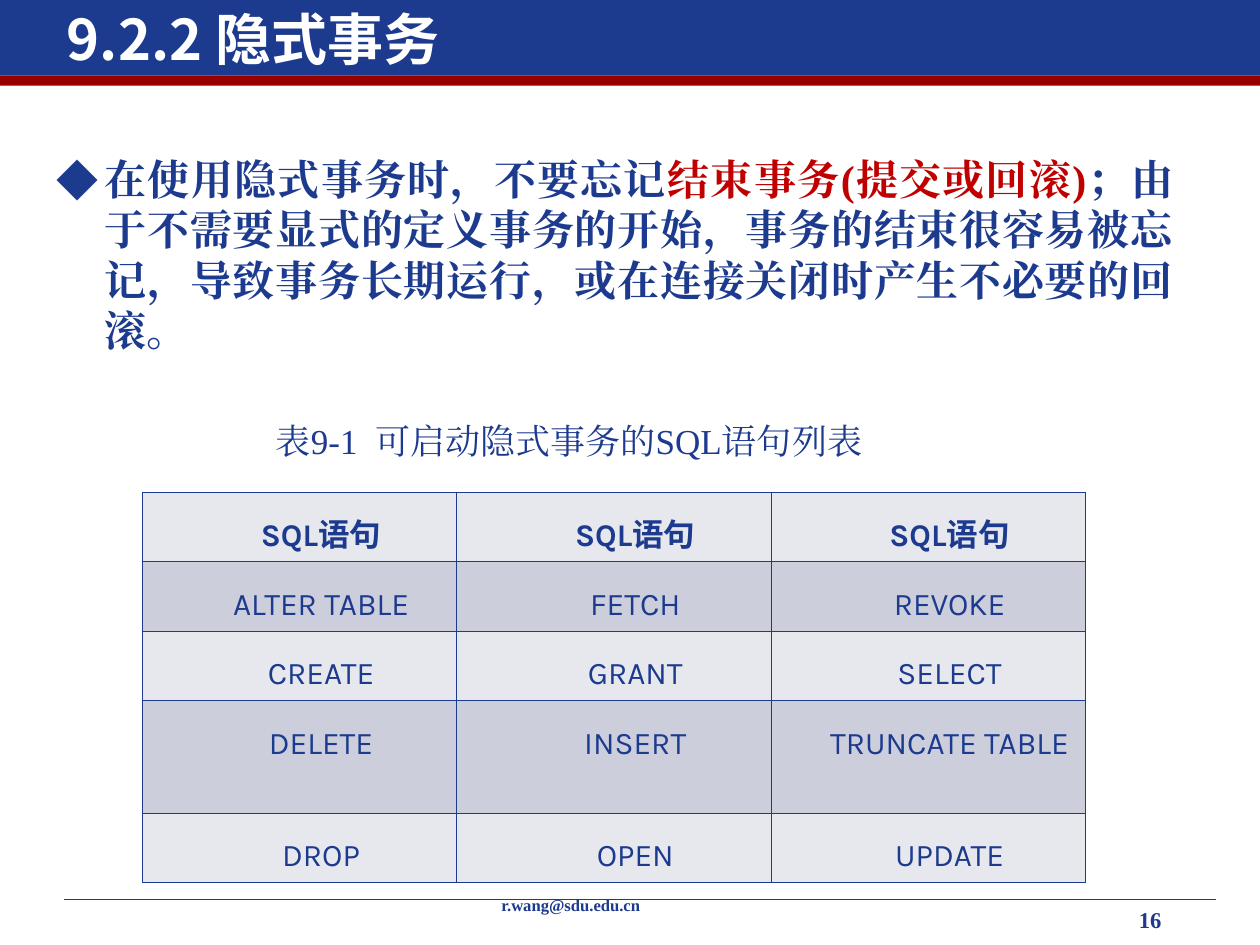
from lxml import etree
from pptx import Presentation
from pptx.dml.color import RGBColor
from pptx.enum import shapes, text
from pptx.oxml import ns
from pptx.util import Pt

NAVY = RGBColor(0x1C, 0x3A, 0x8E)
CRIMSON = RGBColor(0x99, 0x00, 0x00)
RED = RGBColor(0xC0, 0x00, 0x00)
WHITE = RGBColor(0xFF, 0xFF, 0xFF)
LIGHT = RGBColor(0xE7, 0xE8, 0xEE)
GREY = RGBColor(0xCC, 0xCE, 0xDB)
SERIF, SANS, CELL_FONT = "Times New Roman", "Noto Sans CJK SC", "Karla"


def add_run(paragraph, words, size, font, color=NAVY, bold=False):
    run = paragraph.add_run()
    run.text = words
    run.font.size = Pt(size)
    run.font.bold = bold
    run.font.name = font
    run.font.color.rgb = color
    east_asian = etree.SubElement(run.font._element, ns.qn("a:ea"))
    east_asian.set("typeface", font)


presentation = Presentation()
presentation.slide_width = Pt(720)
presentation.slide_height = Pt(540)
slide = presentation.slides.add_slide(presentation.slide_layouts[1])
title, body = slide.placeholders

# Header bars, placed behind the title
bars = [(-2.2, 45.4, NAVY), (43.2, 5.8, CRIMSON)]
for position, (top, height, color) in enumerate(bars):
    bar = slide.shapes.add_shape(shapes.MSO_SHAPE.RECTANGLE, 0, Pt(top), Pt(720), Pt(height))
    bar.shadow.inherit = False
    bar.fill.solid()
    bar.fill.fore_color.rgb = color
    bar.line.fill.background()
    slide.shapes._spTree.insert(2 + position, bar._element)

# Footer rule
rule = slide.shapes.add_connector(
    shapes.MSO_CONNECTOR.STRAIGHT, Pt(36.7), Pt(514), Pt(694.8), Pt(514))
rule.line.color.rgb = NAVY
rule.line.width = Pt(0.75)
etree.SubElement(rule._element.spPr, ns.qn("a:effectLst"))

# Title
title.left, title.top, title.width, title.height = Pt(31), Pt(-2.2), Pt(561.6), Pt(48.2)
title.text_frame.vertical_anchor = text.MSO_ANCHOR.MIDDLE
title.text_frame.auto_size = text.MSO_AUTO_SIZE.NONE
paragraph = title.text_frame.paragraphs[0]
paragraph.alignment = text.PP_ALIGN.LEFT
add_run(paragraph, "9.2.2 隐式事务", 32, SANS, WHITE, True)

# Body list
body.left, body.top, body.width, body.height = Pt(25.2), Pt(84), Pt(652.3), Pt(122.4)
body.text_frame.auto_size = text.MSO_AUTO_SIZE.NONE
paragraph = body.text_frame.paragraphs[0]
paragraph.alignment = text.PP_ALIGN.JUSTIFY
paragraph.space_before = Pt(0)
paragraph.line_spacing = Pt(28.8)
properties = paragraph._p.get_or_add_pPr()
properties.set("marL", str(Pt(27.4)))
properties.set("indent", str(Pt(-27.4)))
bullet_color = etree.SubElement(properties, ns.qn("a:buClr"))
etree.SubElement(bullet_color, ns.qn("a:srgbClr")).set("val", str(NAVY))
etree.SubElement(properties, ns.qn("a:buFont")).set("typeface", SANS)
etree.SubElement(properties, ns.qn("a:buChar")).set("char", "◆")
for words, color in [
    ("在使用隐式事务时，不要忘记", NAVY),
    ("结束事务(提交或回滚)", RED),
    ("；由于不需要显式的定义事务的开始，事务的结束很容易被忘记，"
     "导致事务长期运行，或在连接关闭时产生不必要的回滚。", NAVY),
]:
    add_run(paragraph, words, 24, SERIF, color, True)

# Page number, contact and table caption
for left, top, width, height, words, size, bold, spacing in [
    (643.7, 516.2, 76.3, 23.8, "16", 12.9, True, 0.9),
    (279.4, 509.8, 228.2, 19.4, "r.wang@sdu.edu.cn", 9.5, True, 0.8),
    (150.5, 236.2, 380.2, 31.7, "表9-1  可启动隐式事务的SQL语句列表", 20, False, 1.0),
]:
    box = slide.shapes.add_textbox(Pt(left), Pt(top), Pt(width), Pt(height))
    box.text_frame.word_wrap = True
    paragraph = box.text_frame.paragraphs[0]
    paragraph.line_spacing = spacing
    add_run(paragraph, words, size, SERIF, bold=bold)

# Table of statements
statements = [
    ["SQL语句"] * 3,
    ["ALTER TABLE", "FETCH", "REVOKE"],
    ["CREATE", "GRANT", "SELECT"],
    ["DELETE", "INSERT", "TRUNCATE TABLE"],
    ["DROP", "OPEN", "UPDATE"],
]
row_heights = [32.2, 32.2, 32.2, 64.4, 32.2]
table = slide.shapes.add_table(
    5, 3, Pt(81.4), Pt(281.3), Pt(538.8), Pt(sum(row_heights))).table
table.first_row = False
table.horz_banding = False
for column in table.columns:
    column.width = Pt(179.6)
for row_index, (row, height) in enumerate(zip(statements, row_heights)):
    table.rows[row_index].height = Pt(height)
    for column_index, words in enumerate(row):
        cell = table.cell(row_index, column_index)
        cell.margin_left = cell.margin_right = Pt(5.8)
        paragraph = cell.text_frame.paragraphs[0]
        paragraph.alignment = text.PP_ALIGN.CENTER
        paragraph.line_spacing = 1.5
        properties = paragraph._p.get_or_add_pPr()
        properties.set("marL", str(Pt(59.8)))
        properties.set("indent", str(Pt(-35.3)))
        add_run(paragraph, words, 18, CELL_FONT, bold=row_index == 0)
        # Borders come before the fill in the cell properties
        cell_properties = cell._tc.get_or_add_tcPr()
        for side in ("lnL", "lnR", "lnT", "lnB"):
            border = etree.SubElement(cell_properties, ns.qn(f"a:{side}"), w=str(Pt(0.45)))
            border_fill = etree.SubElement(border, ns.qn("a:solidFill"))
            etree.SubElement(border_fill, ns.qn("a:srgbClr")).set("val", str(NAVY))
        cell.fill.solid()
        cell.fill.fore_color.rgb = GREY if row_index % 2 else LIGHT

presentation.save("out.pptx")
